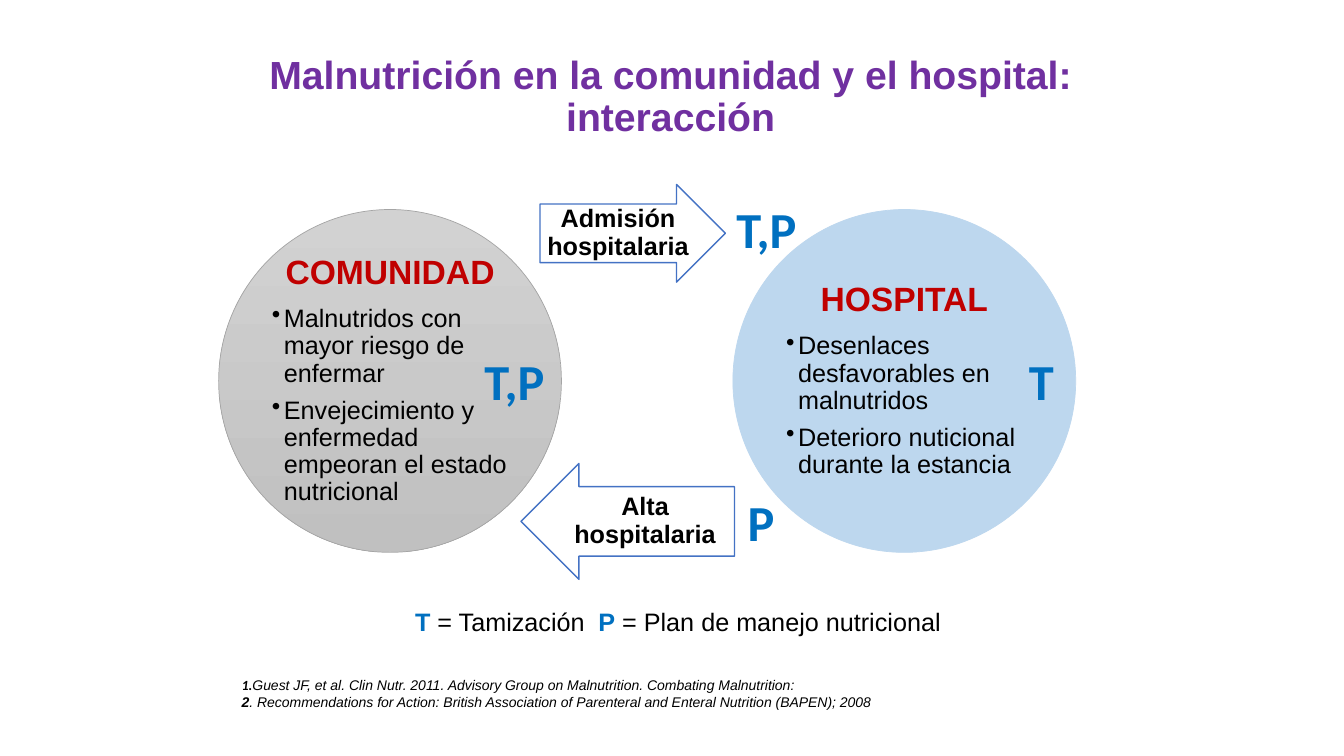
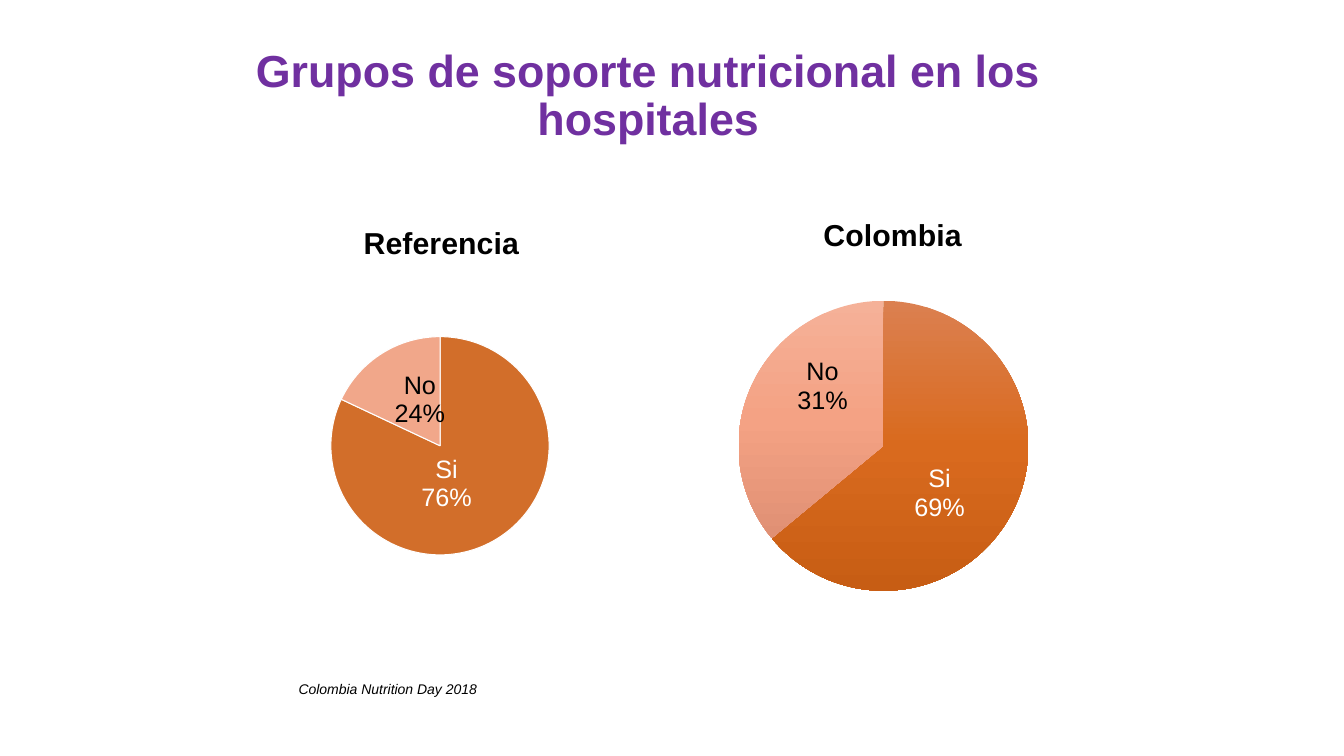
from copy import deepcopy
from dataclasses import dataclass

from pptx import Presentation
from pptx import util as u
from pptx.chart import data as chart_data
from pptx.dml import color as dml
from pptx.enum import chart as charts, shapes, text
from pptx.oxml import ns, parse_xml

COLORS = {
    "title": "7030A0", "heading": "C00000", "mark": "0070C0",
    "black": "000000", "white": "FFFFFF", "arrow": "4472C4",
    "grey_top": "D2D2D2", "grey_bottom": "C0C0C0", "grey_line": "A5A5A5",
    "sky": "BDD7EE", "orange": "D26E2A", "peach": "F1A78A",
    "orange_top": "DB8050", "orange_mid": "D96A1E", "orange_bottom": "C75D14",
    "peach_top": "F5B198", "peach_mid": "F4A284", "peach_bottom": "E09074",
}
CENTER = text.PP_ALIGN.CENTER


@dataclass(frozen=True)
class Area:
    left: float
    top: float
    width: float
    height: float

    def lengths(self) -> list:
        return [u.Cm(side) for side in (self.left, self.top, self.width, self.height)]


@dataclass(frozen=True)
class Style:
    size: float
    color: str = "black"
    bold: bool = False
    italic: bool = False
    name: str = "Arial"


@dataclass(frozen=True)
class Place:
    area: Area
    fills: tuple[str, ...]
    line: str
    heading: str
    points: tuple[str, ...]


@dataclass(frozen=True)
class Flow:
    area: Area
    kind: shapes.MSO_SHAPE
    label: str


@dataclass(frozen=True)
class Slice:
    name: str
    value: int
    label: str
    label_color: str
    fills: tuple[str, ...]
    shift: tuple[float, float]


@dataclass(frozen=True)
class Pie:
    area: Area
    title: str
    title_at: tuple[float, float]
    plot: tuple[float, float, float, float]
    slices: tuple[Slice, ...]
    outlined: bool


BODY = Style(18)
STRONG = Style(18, bold=True)
HEADING = Style(24, "heading", bold=True)
NOTE = Style(10, italic=True)
NOTE_BOLD = Style(10, bold=True, italic=True)
MARK = Style(36, "mark", bold=True, name="Calibri")
LEGEND_MARK = Style(18, "mark", bold=True)

PLACES = (
    Place(Area(5.51, 5.28, 8.64, 8.64), ("grey_top", "grey_bottom"), "grey_line", "COMUNIDAD",
          ("Malnutridos con mayor riesgo de enfermar",
           "Envejecimiento y enfermedad empeoran el estado nutricional")),
    Place(Area(18.47, 5.28, 8.64, 8.64), ("sky",), "sky", "HOSPITAL",
          ("Desenlaces desfavorables en malnutridos",
           "Deterioro nuticional durante la estancia")),
)
FLOWS = (
    Flow(Area(13.61, 4.65, 4.67, 2.46), shapes.MSO_SHAPE.RIGHT_ARROW, "Admisión hospitalaria"),
    Flow(Area(13.13, 11.68, 5.38, 2.92), shapes.MSO_SHAPE.LEFT_ARROW, "Alta hospitalaria"),
)
MARKS = (("T,P", 11.96, 8.71), ("T", 25.68, 8.71), ("T,P", 18.31, 4.88), ("P", 18.59, 12.24))
PIES = (
    Pie(Area(5.36, 5.18, 11.46, 10.44), "Referencia", (0.32, 0.03), (0.26, 0.31, 0.48, 0.54),
        (Slice("Si", 82, "76%", "white", ("orange",), (-0.05, -0.02)),
         Slice("No", 18, "24%", "black", ("peach",), (0.02, 0))), True),
    Pie(Area(16.36, 5.18, 11.81, 10.44), "Colombia", (0.36, 0.01), (0.19, 0.23, 0.62, 0.7),
        (Slice("Si", 64, "69%", "white",
               ("orange_top", "orange_mid", "orange_bottom"), (-0.02, 0.04)),
         Slice("No", 36, "31%", "black",
               ("peach_top", "peach_mid", "peach_bottom"), (0.01, -0.07))), False),
)


def rgb(name: str) -> dml.RGBColor:
    return dml.RGBColor.from_string(COLORS[name])


def set_font(font, style: Style) -> None:
    font.name, font.size = style.name, u.Pt(style.size)
    font.bold, font.italic = style.bold, style.italic
    font.color.rgb = rgb(style.color)


def style_paragraph(para, style: Style) -> None:
    for target in (para, *para.runs):
        set_font(target.font, style)


def set_fill(fill, element, names: tuple[str, ...]) -> None:
    if len(names) == 1:
        fill.solid()
        fill.fore_color.rgb = rgb(names[0])
        return
    fill.gradient()
    fill.gradient_angle = 270
    if len(names) == 3:
        for stops in element.iter(ns.qn("a:gsLst")):
            if len(stops) == 2:
                middle = deepcopy(stops[0])
                middle.set("pos", "50000")
                stops.insert(1, middle)
    for stop, name in zip(fill.gradient_stops, names):
        stop.color.rgb = rgb(name)


def add_box(page, area: Area, anchor=text.MSO_ANCHOR.TOP):
    frame = page.shapes.add_textbox(*area.lengths()).text_frame
    frame.word_wrap = True
    frame.vertical_anchor = anchor
    return frame


def add_line(page, area: Area, wording: str, style: Style, align=None,
             spacing: float = 1.0, anchor=text.MSO_ANCHOR.TOP) -> None:
    para = add_box(page, area, anchor).paragraphs[0]
    para.text, para.alignment, para.line_spacing = wording, align, spacing
    style_paragraph(para, style)


def add_spans(para, spans: tuple[tuple[str, Style], ...]) -> None:
    for wording, style in spans:
        span = para.add_run()
        span.text = wording
        set_font(span.font, style)


def add_title(page, area: Area, wording: str, size: float, anchor) -> None:
    add_line(page, area, wording, Style(size, "title", bold=True), CENTER, 0.9, anchor)


def add_shape(page, kind, area: Area, fills: tuple[str, ...], line: str,
              weight: float, margin: float):
    shape = page.shapes.add_shape(kind, *area.lengths())
    shape.shadow.inherit = False
    set_fill(shape.fill, shape.element, fills)
    shape.line.color.rgb = rgb(line)
    shape.line.width = u.Pt(weight)
    frame = shape.text_frame
    frame.word_wrap = True
    frame.vertical_anchor = text.MSO_ANCHOR.MIDDLE
    frame.margin_left = frame.margin_right = u.Cm(margin)
    frame.margin_top = frame.margin_bottom = u.Cm(margin)
    return shape


def add_bullet(para) -> None:
    props = para._p.get_or_add_pPr()
    indent = u.Cm(0.3)
    props.set("marL", str(indent))
    props.set("indent", str(-indent))
    props.append(parse_xml(f'<a:buChar {ns.nsdecls("a")} char="•"/>'))


def add_place(page, place: Place) -> None:
    shape = add_shape(page, shapes.MSO_SHAPE.OVAL, place.area, place.fills, place.line, 0.5, 0.08)
    frame = shape.text_frame
    frame.text = "\n".join((place.heading, *place.points))
    for number, para in enumerate(frame.paragraphs):
        para.alignment = text.PP_ALIGN.LEFT if number else CENTER
        para.line_spacing = 0.9
        para.space_after = u.Pt(7 if number else 10)
        if number:
            add_bullet(para)
        style_paragraph(para, BODY if number else HEADING)


def add_flow(page, flow: Flow) -> None:
    shape = add_shape(page, flow.kind, flow.area, ("white",), "arrow", 1, 0)
    shape.adjustments[0], shape.adjustments[1] = 0.6, 0.5
    para = shape.text_frame.paragraphs[0]
    para.text, para.alignment, para.line_spacing = flow.label, CENTER, 0.9
    style_paragraph(para, STRONG)


def set_layout(parent, index: int, x: float, y: float, size: tuple[float, ...] = ()) -> None:
    for old in parent.findall(ns.qn("c:layout")):
        parent.remove(old)
    modes = '<c:layoutTarget val="inner"/>' if size else ""
    if parent.tag != ns.qn("c:dLbl"):
        modes += '<c:xMode val="edge"/><c:yMode val="edge"/>'
    values = "".join(f'<c:{key} val="{value}"/>' for key, value in zip("xywh", (x, y, *size)))
    parent.insert(index, parse_xml(
        f'<c:layout {ns.nsdecls("c")}><c:manualLayout>{modes}{values}</c:manualLayout></c:layout>'))


def add_pie(page, pie: Pie) -> None:
    data = chart_data.CategoryChartData()
    data.categories = [part.name for part in pie.slices]
    data.add_series("Series 1", [part.value for part in pie.slices])
    chart = page.shapes.add_chart(charts.XL_CHART_TYPE.PIE, *pie.area.lengths(), data).chart
    set_font(chart.font, BODY)
    chart.has_legend = False
    chart.has_title = True
    title = chart.chart_title.text_frame
    title.text = pie.title
    style_paragraph(title.paragraphs[0], Style(21.6, bold=True))
    plot = chart.plots[0]
    plot.vary_by_categories = True
    for number, part in enumerate(pie.slices):
        point = plot.series[0].points[number]
        set_fill(point.format.fill, chart.element, part.fills)
        if pie.outlined:
            point.format.line.color.rgb = rgb("white")
            point.format.line.width = u.Pt(0.75)
        else:
            point.format.line.fill.background()
        frame = point.data_label.text_frame
        frame.text = f"{part.name}\n{part.label}"
        for para in frame.paragraphs:
            style_paragraph(para, Style(18, part.label_color))
        point.data_label.position = charts.XL_LABEL_POSITION.CENTER
    set_layout(chart.element.find(".//" + ns.qn("c:title")), 1, *pie.title_at)
    set_layout(chart.element.find(".//" + ns.qn("c:plotArea")), 0, *pie.plot[:2], pie.plot[2:])
    for part, label in zip(pie.slices, chart.element.iter(ns.qn("c:dLbl"))):
        set_layout(label, 1, *part.shift)


def add_legend(page) -> None:
    para = add_box(page, Area(10.21, 15.16, 13.94, 1.02)).paragraphs[0]
    para._p.get_or_add_pPr().append(parse_xml(
        f'<a:tabLst {ns.nsdecls("a")}><a:tab pos="{u.Cm(4.62)}" algn="l"/></a:tabLst>'))
    add_spans(para, (("T ", LEGEND_MARK), ("= Tamización\t", BODY),
                     ("P", LEGEND_MARK), (" = Plan de manejo nutricional", BODY)))


def add_references(page) -> None:
    frame = add_box(page, Area(5.84, 16.92, 16.59, 1.12))
    add_spans(frame.paragraphs[0], (
        ("1.", Style(10, bold=True, italic=True, name="Calibri")),
        ("Guest JF, et al. Clin Nutr. 2011. Advisory Group on Malnutrition. "
         "Combating Malnutrition:", NOTE)))
    add_spans(frame.add_paragraph(), (
        ("2", NOTE_BOLD),
        (". Recommendations for Action: British Association of Parenteral and "
         "Enteral Nutrition (BAPEN); 2008", NOTE)))


def build_interaction(page) -> None:
    add_title(page, Area(4.2, 1.28, 25.4, 1.9),
              "Malnutrición en la comunidad y el hospital: interacción", 28, text.MSO_ANCHOR.TOP)
    for place, flow in zip(PLACES, FLOWS):
        add_place(page, place)
        add_flow(page, flow)
    add_references(page)
    add_legend(page)
    for wording, left, top in MARKS:
        add_line(page, Area(left, top, 2.4, 1.8), wording, MARK)


def build_support(page) -> None:
    for pie in PIES:
        add_pie(page, pie)
    add_title(page, Area(3.64, 2.16, 25.4, 1.63),
              "Grupos de soporte nutricional en los hospitales", 32, text.MSO_ANCHOR.BOTTOM)
    add_line(page, Area(4.04, 17.02, 11.46, 0.69), "Colombia Nutrition Day 2018", NOTE, CENTER)


def main() -> None:
    deck = Presentation()
    deck.slide_width, deck.slide_height = u.Cm(33.87), u.Cm(19.05)
    for build in (build_interaction, build_support):
        build(deck.slides.add_slide(deck.slide_layouts[6]))
    deck.save("out.pptx")


if __name__ == "__main__":
    main()
